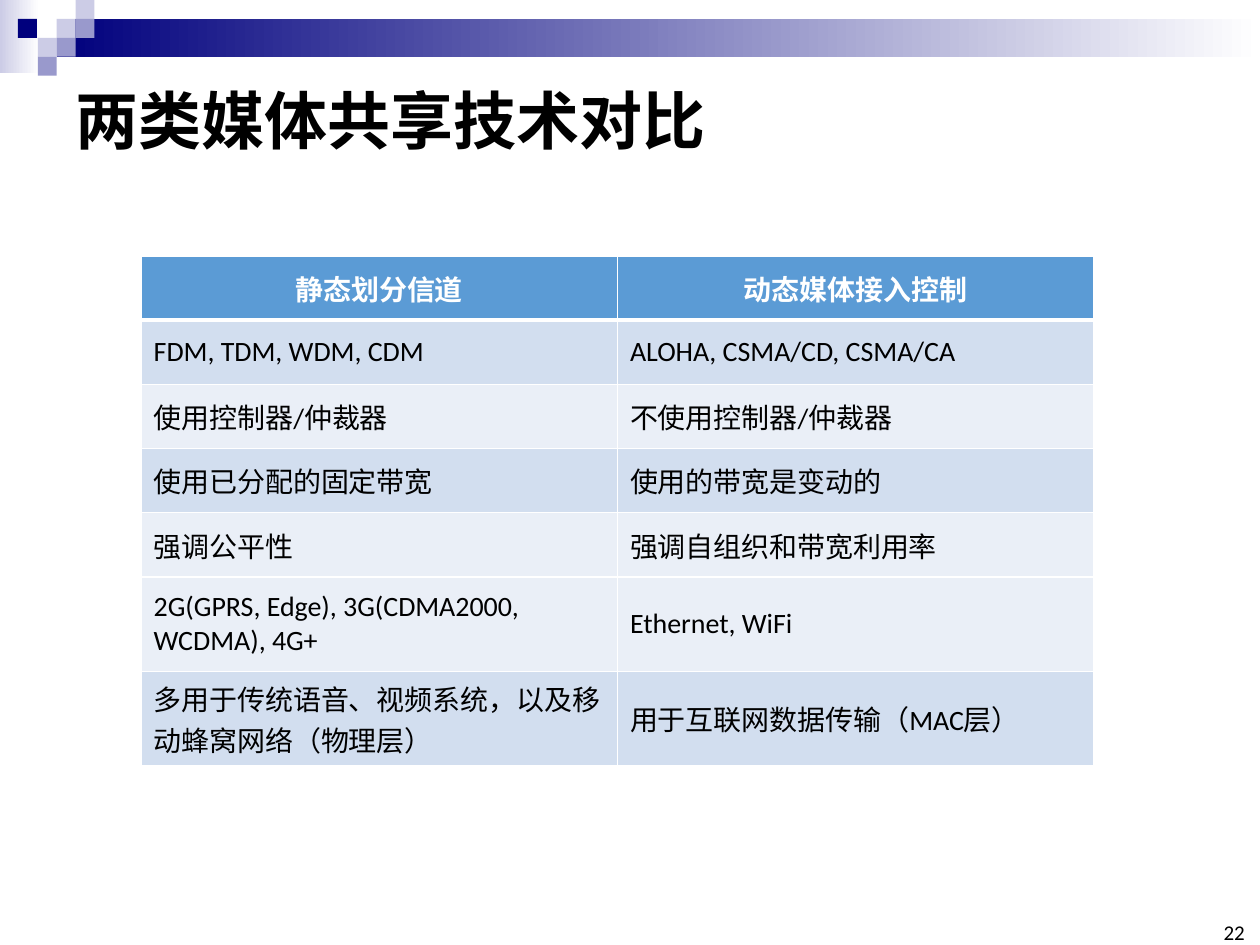
from dataclasses import dataclass
from typing import Optional

from lxml import etree
from pptx import Presentation
from pptx import util as u
from pptx.dml.color import RGBColor
from pptx.enum import shapes, text
from pptx.oxml import ns

WIDTH, HEIGHT = 10, 7.5
UNIT = 0.15
LATIN, ASIAN = "Calibri", "Noto Sans CJK SC"
BLACK, WHITE = "000000", "FFFFFF"
NAVY, LILAC, VIOLET = "00007D", "CCCCE6", "9999CC"
HEADER, DARK_BAND, LIGHT_BAND = "5B9BD5", "D2DEEF", "EAEFF7"


@dataclass
class Block:
    column: float
    row: float
    columns: float
    rows: float
    fill: str
    fade: Optional[str] = None


@dataclass
class Row:
    cells: tuple[str, str]
    fill: str
    height: float = 0.51


BLOCKS = [
    Block(0, 0, 2.07, 3.87, LILAC, WHITE),
    Block(3, 1, WIDTH / UNIT - 3, 2, NAVY, WHITE),
    Block(3, 1, 1, 1, LILAC),
    Block(4, 0, 1, 1, LILAC),
    Block(4, 1, 1, 1, VIOLET),
    Block(2, 2, 1, 1, LILAC),
    Block(0.95, 1, 1, 1, NAVY),
    Block(3, 2, 1, 1, VIOLET),
    Block(2, 3, 1, 1, VIOLET),
]

ROWS = [
    Row(("静态划分信道", "动态媒体接入控制"), HEADER),
    Row(("FDM, TDM, WDM, CDM", "ALOHA, CSMA/CD, CSMA/CA"), DARK_BAND),
    Row(("使用控制器/仲裁器", "不使用控制器/仲裁器"), LIGHT_BAND),
    Row(("使用已分配的固定带宽", "使用的带宽是变动的"), DARK_BAND),
    Row(("强调公平性", "强调自组织和带宽利用率"), LIGHT_BAND),
    Row(("2G(GPRS, Edge), 3G(CDMA2000, WCDMA), 4G+", "Ethernet, WiFi"), LIGHT_BAND, 0.75),
    Row(("多用于传统语音、视频系统，以及移动蜂窝网络（物理层）", "用于互联网数据传输（MAC层）"), DARK_BAND, 0.75),
]


def color(value: str) -> RGBColor:
    return RGBColor.from_string(value)


def add_run(paragraph, words: str, size: float, font: str = LATIN,
            fill: str = BLACK, bold: bool = False) -> None:
    run = paragraph.add_run()
    run.text = words
    run.font.size = u.Pt(size)
    run.font.bold = bold
    run.font.color.rgb = color(fill)
    run.font.name = font
    asian = etree.SubElement(run.font._element, ns.qn("a:ea"))
    asian.set("typeface", ASIAN)


def add_block(slide, block: Block) -> None:
    bounds = (block.column, block.row, block.columns, block.rows)
    shape = slide.shapes.add_shape(
        shapes.MSO_SHAPE.RECTANGLE, *(u.Inches(UNIT * length) for length in bounds))
    shape.shadow.inherit = False
    shape.line.fill.background()
    if block.fade:
        shape.fill.gradient()
        shape.fill.gradient_angle = 0
        for stop, value in zip(shape.fill.gradient_stops, (block.fill, block.fade)):
            stop.color.rgb = color(value)
    else:
        shape.fill.solid()
        shape.fill.fore_color.rgb = color(block.fill)


def add_title(slide, words: str) -> None:
    title = slide.shapes.title
    title.left, title.top = u.Inches(0.05 * WIDTH), u.Inches(0.5)
    title.width, title.height = u.Inches(0.9 * WIDTH), u.Inches(0.89)
    frame = title.text_frame
    frame.auto_size = text.MSO_AUTO_SIZE.NONE
    frame.vertical_anchor = text.MSO_ANCHOR.MIDDLE
    paragraph = frame.paragraphs[0]
    paragraph.alignment = text.PP_ALIGN.LEFT
    add_run(paragraph, words, 36, ASIAN, bold=True)


def add_border(cell, side: str, width: float) -> None:
    line = etree.SubElement(cell._tc.get_or_add_tcPr(), ns.qn(f"a:ln{side}"))
    line.set("w", str(u.Pt(width)))
    solid = etree.SubElement(line, ns.qn("a:solidFill"))
    etree.SubElement(solid, ns.qn("a:srgbClr")).set("val", WHITE)


def fill_cell(cell, words: str, fill: str, row_index: int) -> None:
    is_header = row_index == 0
    widths = {"L": 1, "R": 1, "T": 3 if row_index == 1 else 1, "B": 3 if is_header else 1}
    for side, width in widths.items():
        add_border(cell, side, width)
    cell.fill.solid()
    cell.fill.fore_color.rgb = color(fill)
    cell.vertical_anchor = text.MSO_ANCHOR.MIDDLE
    paragraph = cell.text_frame.paragraphs[0]
    paragraph.alignment = text.PP_ALIGN.CENTER if is_header else text.PP_ALIGN.LEFT
    add_run(paragraph, words, 16, fill=WHITE if is_header else BLACK, bold=is_header)


def add_comparison(slide, rows: list[Row]) -> None:
    height = sum(row.height for row in rows)
    table = slide.shapes.add_table(
        len(rows), 2, u.Inches(1.12), u.Inches(2.03), u.Inches(7.56), u.Inches(height)).table
    for row_index, row in enumerate(rows):
        table.rows[row_index].height = u.Inches(row.height)
        for column_index, words in enumerate(row.cells):
            fill_cell(table.cell(row_index, column_index), words, row.fill, row_index)


def add_page_number(slide, number: str) -> None:
    width, height = 0.23, 0.17
    box = slide.shapes.add_textbox(
        u.Inches(9.65), u.Inches(HEIGHT - height), u.Inches(width), u.Inches(height))
    frame = box.text_frame
    frame.word_wrap = True
    frame.margin_left = frame.margin_right = frame.margin_top = frame.margin_bottom = 0
    frame.vertical_anchor = text.MSO_ANCHOR.BOTTOM
    paragraph = frame.paragraphs[0]
    paragraph.alignment = text.PP_ALIGN.RIGHT
    add_run(paragraph, number, 12)


def main() -> None:
    presentation = Presentation()
    presentation.slide_width = u.Inches(WIDTH)
    presentation.slide_height = u.Inches(HEIGHT)
    slide = presentation.slides.add_slide(presentation.slide_layouts.get_by_name("Title Only"))
    for block in BLOCKS:
        add_block(slide, block)
    add_title(slide, "两类媒体共享技术对比")
    add_page_number(slide, "22")
    add_comparison(slide, ROWS)
    presentation.save("out.pptx")


if __name__ == "__main__":
    main()
